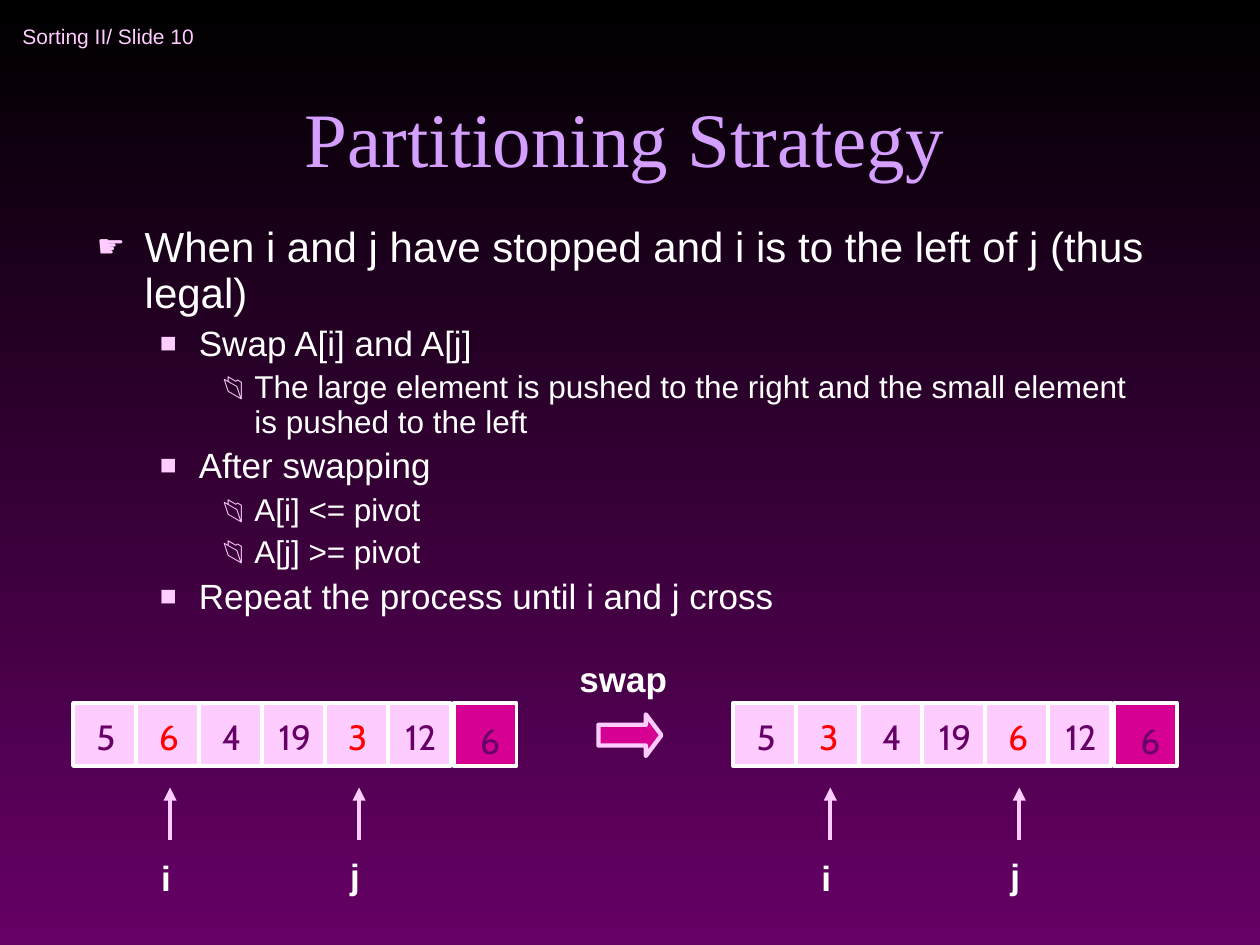
import lxml.etree
import pptx
import pptx.dml.color
import pptx.enum.shapes
import pptx.enum.text
import pptx.oxml.ns
import pptx.util

Inches = pptx.util.Inches
Pt = pptx.util.Pt
qn = pptx.oxml.ns.qn
SHAPES = pptx.enum.shapes.MSO_SHAPE
ALIGN = pptx.enum.text.PP_ALIGN
ANCHOR = pptx.enum.text.MSO_ANCHOR
AUTO_SIZE = pptx.enum.text.MSO_AUTO_SIZE

COLORS = {
    "top": "000000",
    "purple": "660066",
    "title": "D49FFF",
    "pink": "FFCCFF",
    "magenta": "D60093",
    "white": "FFFFFF",
    "swapped": "FF0000",
}

# One entry per level: left margin, hanging indent, space before, size, bullet, bullet percent
LEVELS = [
    (0.38, 0.38, 6, 24, "☛", 75),
    (0.81, 0.31, 5, 20, "■", 80),
    (1.25, 0.25, 4.5, 18, "📂", 80),
]

BULLETS = [
    (0, "When i and j have stopped and i is to the left of j (thus legal)"),
    (1, "Swap A[i] and A[j]"),
    (2, "The large element is pushed to the right and the small element is pushed to the left"),
    (1, "After swapping"),
    (2, "A[i] <= pivot"),
    (2, "A[j] >= pivot"),
    (1, "Repeat the process until i and j cross"),
]

CELL = 0.5
ROW_TOP = 5.58
PIVOT_GAP = 0.02
I_INDEX, J_INDEX = 1, 4
ARRAYS = [
    (0.58, [5, 6, 4, 19, 3, 12, 6]),
    (5.82, [5, 3, 4, 19, 6, 12, 6]),
]


def rgb(name):
    return pptx.dml.color.RGBColor.from_string(COLORS[name])


class SlideBuilder:
    def __init__(self, presentation):
        self.slide = presentation.slides.add_slide(presentation.slide_layouts[5])
        self.body_font = "Arial"
        self.title_font = "Times New Roman"
        self.number_font = "Cabin"

    def background(self, first, last):
        fill = self.slide.background.fill
        fill.gradient()
        fill.gradient_angle = 270
        for stop, color, position in zip(fill.gradient_stops, (first, last), (0, 1)):
            stop.color.rgb = rgb(color)
            stop.position = position

    def style(self, paragraph, size, color, font=None, bold=False):
        paragraph.font.name = font or self.body_font
        paragraph.font.size = Pt(size)
        paragraph.font.bold = bold
        paragraph.font.color.rgb = rgb(color)

    def title(self, text, left, top, width, height):
        shape = self.slide.shapes.title
        shape.left, shape.top = Inches(left), Inches(top)
        shape.width, shape.height = Inches(width), Inches(height)
        frame = shape.text_frame
        frame.text = text
        frame.vertical_anchor = ANCHOR.BOTTOM
        frame.auto_size = AUTO_SIZE.NONE
        paragraph = frame.paragraphs[0]
        paragraph.alignment = ALIGN.CENTER
        self.style(paragraph, 44, "title", self.title_font)

    def text(self, text, left, top, width, height, size=20, color="white",
             font=None, bold=False, align=ALIGN.LEFT, wrap=True):
        shape = self.slide.shapes.add_textbox(
            Inches(left), Inches(top), Inches(width), Inches(height))
        frame = shape.text_frame
        frame.word_wrap = wrap
        frame.text = text
        paragraph = frame.paragraphs[0]
        paragraph.alignment = align
        self.style(paragraph, size, color, font, bold)
        return frame

    def bullets(self, items, left, top, width, height):
        shape = self.slide.shapes.add_textbox(
            Inches(left), Inches(top), Inches(width), Inches(height))
        frame = shape.text_frame
        frame.word_wrap = True
        for index, (level, text) in enumerate(items):
            margin, hanging, space, size, bullet, percent = LEVELS[level]
            paragraph = frame.add_paragraph() if index else frame.paragraphs[0]
            paragraph.text = text
            paragraph.level = level
            paragraph.line_spacing = 0.9
            paragraph.space_before = Pt(space if index else 0)
            properties = paragraph._p.get_or_add_pPr()
            properties.set("marL", str(Inches(margin)))
            properties.set("indent", str(-Inches(hanging)))
            color = lxml.etree.SubElement(properties, qn("a:buClr"))
            lxml.etree.SubElement(color, qn("a:srgbClr"), val=COLORS["pink"])
            lxml.etree.SubElement(properties, qn("a:buSzPct"), val=str(percent * 1000))
            lxml.etree.SubElement(properties, qn("a:buFont"), typeface=self.body_font)
            lxml.etree.SubElement(properties, qn("a:buChar"), char=bullet)
            self.style(paragraph, size, "white")

    def box(self, kind, left, top, width, height, fill, line, line_width):
        shape = self.slide.shapes.add_shape(
            kind, Inches(left), Inches(top), Inches(width), Inches(height))
        shape.shadow.inherit = False
        shape.fill.solid()
        shape.fill.fore_color.rgb = rgb(fill)
        shape.line.color.rgb = rgb(line)
        shape.line.width = Pt(line_width)
        return shape

    def cell(self, value, left, fill, color, shift=0):
        """Draw an array cell; shift nudges its number right and down."""
        self.box(SHAPES.RECTANGLE, left, ROW_TOP, CELL, CELL, fill, "white", 2.25)
        width = 0.36 if value < 10 else 0.52
        center = left + 0.26 + shift
        self.text(str(value), center - width / 2, ROW_TOP + 0.05 + shift, width, 0.44,
                  color=color, font=self.number_font, align=ALIGN.CENTER, wrap=False)

    def pointer(self, name, x, label_top, label_width):
        """Draw an upward arrow with its index name below."""
        connector = self.slide.shapes.add_connector(
            pptx.enum.shapes.MSO_CONNECTOR.STRAIGHT,
            Inches(x), Inches(6.67), Inches(x), Inches(6.25))
        connector.line.color.rgb = rgb("pink")
        connector.line.width = Pt(2.5)
        properties = connector._element.spPr
        lxml.etree.SubElement(properties.find(qn("a:ln")), qn("a:tailEnd"), type="triangle")
        lxml.etree.SubElement(properties, qn("a:effectLst"))
        self.text(name, x - 0.17, label_top, label_width, 0.44, bold=True)

    def array(self, left, values):
        """Draw a row of cells whose last one is the pivot, with its i and j pointers."""
        for index, value in enumerate(values[:-1]):
            color = "swapped" if index in (I_INDEX, J_INDEX) else "purple"
            self.cell(value, left + index * CELL, "pink", color)
        pivot_left = left + (len(values) - 1) * CELL + PIVOT_GAP
        self.cell(values[-1], pivot_left, "magenta", "purple", shift=0.03)
        self.pointer("i", left + I_INDEX * CELL + 0.27, 6.75, 0.33)
        self.pointer("j", left + J_INDEX * CELL + 0.27, 6.73, 0.42)


def main():
    presentation = pptx.Presentation()
    presentation.slide_width = Inches(10)
    presentation.slide_height = Inches(7.5)

    builder = SlideBuilder(presentation)
    builder.background("top", "purple")
    header = builder.text("Sorting II/ Slide 10", 0.08, 0.08, 2.75, 0.42,
                          size=12, color="pink", wrap=False)
    header.vertical_anchor = ANCHOR.MIDDLE
    builder.title("Partitioning Strategy", 0.67, 0.25, 8.58, 1.25)
    builder.bullets(BULLETS, 0.67, 1.75, 8.58, 3.33)

    arrow = builder.box(SHAPES.RIGHT_ARROW, 4.75, 5.67, 0.5, 0.33, "magenta", "pink", 2.5)
    arrow.adjustments[0] = 0.5
    arrow.adjustments[1] = 0.375
    builder.text("swap", 4.5, 5.17, 1.08, 0.44, bold=True)
    for left, values in ARRAYS:
        builder.array(left, values)

    presentation.save("out.pptx")


if __name__ == "__main__":
    main()
